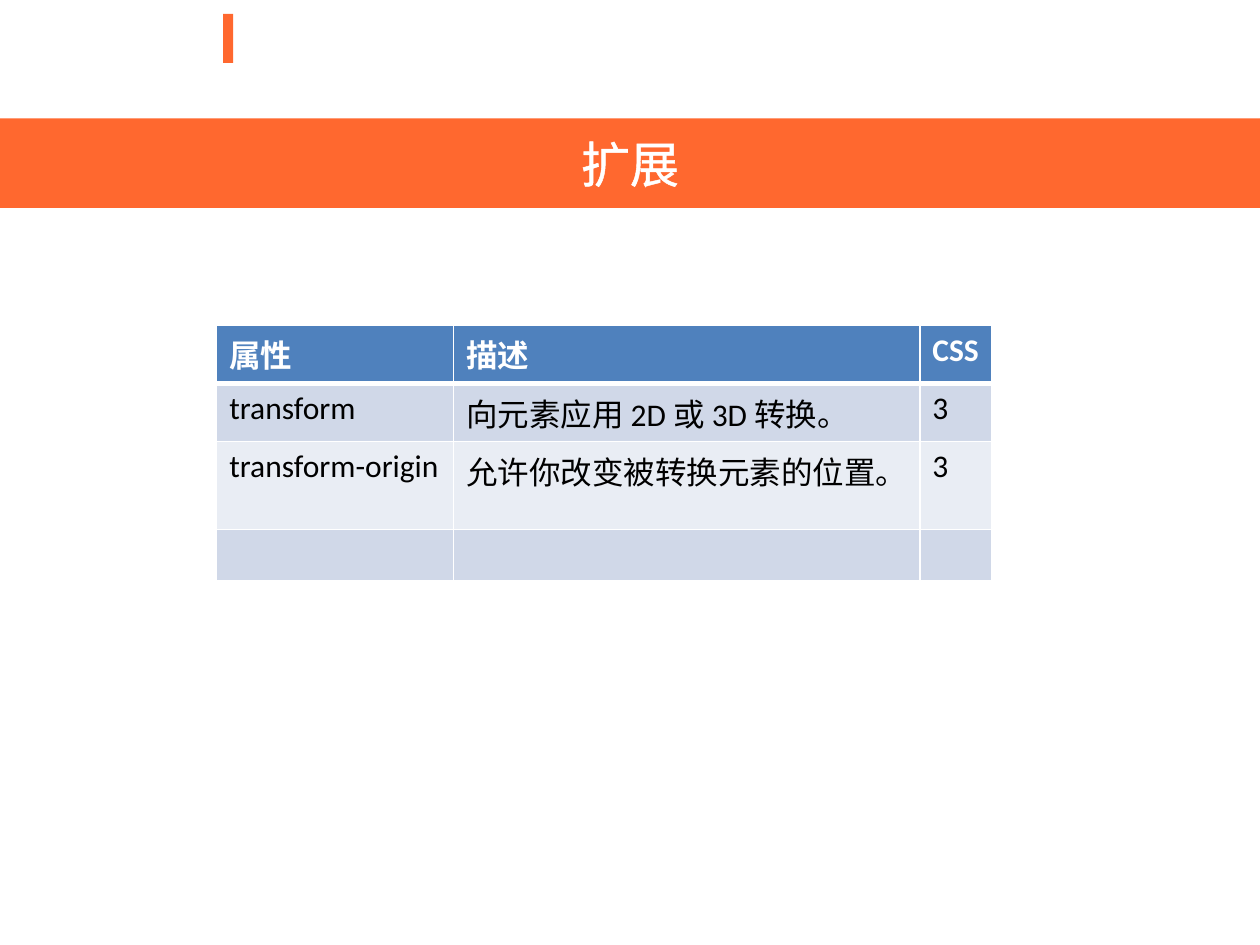
from lxml import etree
from pptx import Presentation
from pptx.dml.color import RGBColor
from pptx.enum import shapes, text
from pptx.oxml import ns
from pptx.util import Inches, Pt

COLORS = {
    "accent": "FF682F",
    "white": "FFFFFF",
    "black": "000000",
    "head": "4F81BD",
    "odd": "D0D8E8",
    "even": "E9EDF4",
}
ROWS = [
    ("属性", "描述", "CSS"),
    ("transform", "向元素应用 2D 或 3D 转换。", "3"),
    ("transform-origin", "允许你改变被转换元素的位置。", "3"),
    ("", "", ""),
]
WIDTHS = [1.88, 3.7, 0.57]
HEIGHTS = [0.4, 0.4, 0.7, 0.4]


def paint(fill, name):
    fill.solid()
    fill.fore_color.rgb = RGBColor.from_string(COLORS[name])


def style(para, font, size, color, bold=False):
    for run in para.runs:
        run.font.name = font
        run.font.size = Pt(size)
        run.font.bold = bold
        run.font.color.rgb = RGBColor.from_string(COLORS[color])


def make_line(tag, width):
    line = etree.Element(ns.qn(tag), w=str(Pt(width)))
    fill = etree.SubElement(line, ns.qn("a:solidFill"))
    etree.SubElement(fill, ns.qn("a:srgbClr"), val=COLORS["white"])
    return line


def add_mark(slide, box):
    mark = slide.shapes.add_shape(shapes.MSO_SHAPE.RECTANGLE, *map(Inches, box))
    mark.shadow.inherit = False
    paint(mark.fill, "accent")
    mark.line.fill.background()


def add_title(slide, box):
    title = slide.shapes.title
    title.left, title.top, title.width, title.height = map(Inches, box)
    paint(title.fill, "accent")
    frame = title.text_frame
    frame.text = "扩展"
    frame.vertical_anchor = text.MSO_ANCHOR.MIDDLE
    para = frame.paragraphs[0]
    para.alignment = text.PP_ALIGN.CENTER
    style(para, "Arial", 28, "white")
    para.runs[0].font._element.insert(0, make_line("a:ln", 1.45))


def fill_cell(cell, words, row):
    paint(cell.fill, "head" if row == 0 else "odd" if row % 2 else "even")
    cell.text_frame.text = words
    para = cell.text_frame.paragraphs[0]
    para.space_before = Pt(3.6)
    style(para, "Calibri", 18, "black" if row else "white", bold=row == 0)
    top = 3 if row == 1 else 1
    base = 3 if row == 0 else 1
    edges = [("a:lnL", 1), ("a:lnR", 1), ("a:lnT", top), ("a:lnB", base)]
    props = cell._tc.get_or_add_tcPr()
    for place, (tag, width) in enumerate(edges):
        props.insert(place, make_line(tag, width))


def add_grid(slide, box):
    frame = slide.shapes.add_table(len(ROWS), len(WIDTHS), *map(Inches, box))
    table = frame.table
    for col, width in zip(table.columns, WIDTHS):
        col.width = Inches(width)
    for row, height in zip(table.rows, HEIGHTS):
        row.height = Inches(height)
    for r, words in enumerate(ROWS):
        for c, word in enumerate(words):
            fill_cell(table.cell(r, c), word, r)


def main():
    deck = Presentation()
    deck.slide_width = Inches(10)
    deck.slide_height = Inches(7.5)
    slide = deck.slides.add_slide(deck.slide_layouts[5])
    add_mark(slide, (1.77, 0.11, 0.08, 0.39))
    add_title(slide, (0, 0.94, 10, 0.71))
    add_grid(slide, (1.72, 2.58, sum(WIDTHS), sum(HEIGHTS)))
    deck.save("out.pptx")


if __name__ == "__main__":
    main()
